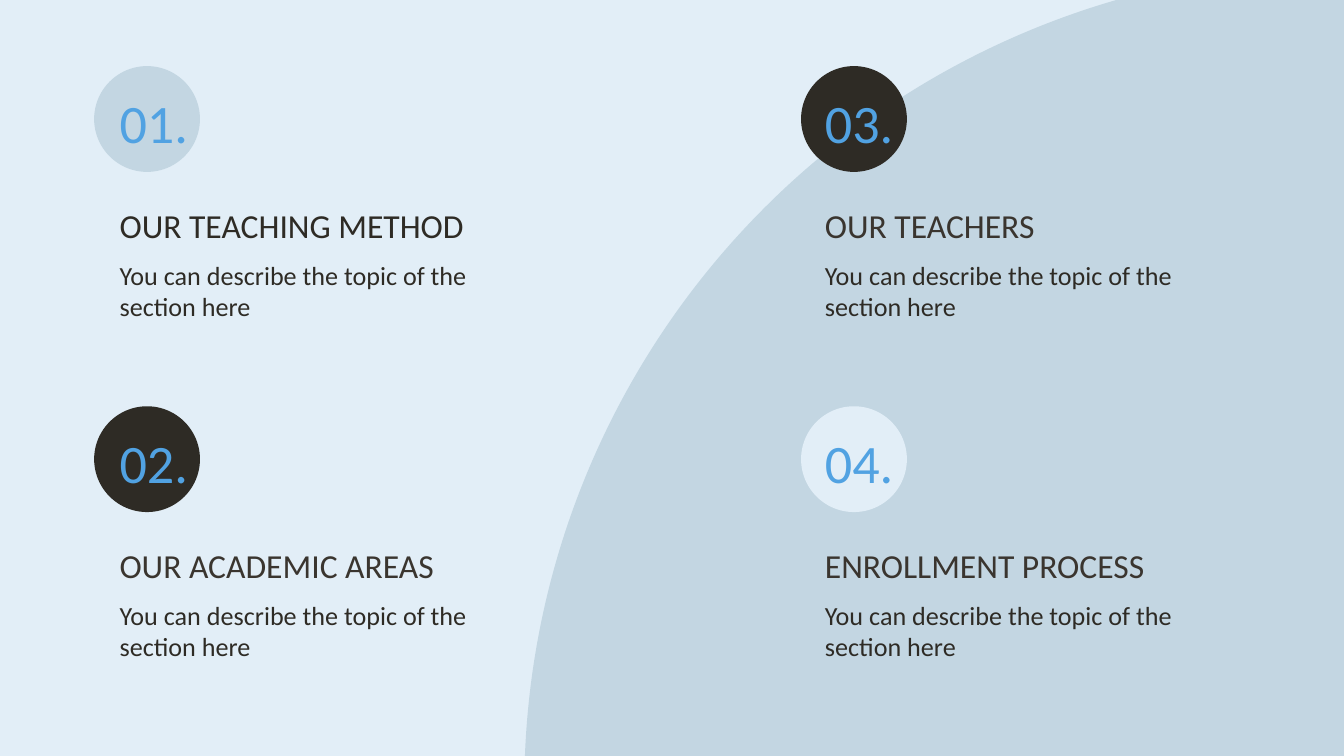
from dataclasses import dataclass

from lxml.etree import SubElement
from pptx import Presentation
from pptx.dml.color import RGBColor
from pptx.enum.shapes import MSO_SHAPE
from pptx.enum.text import MSO_ANCHOR, MSO_AUTO_SIZE, PP_ALIGN
from pptx.oxml.ns import qn
from pptx.shapes.autoshape import Shape
from pptx.slide import Slide
from pptx.util import Cm, Pt


@dataclass(frozen=True)
class Theme:
    font: str = "Calibri"
    pale: str = "E2EEF7"
    mist: str = "C3D6E2"
    dark: str = "2E2B25"
    brown: str = "3A352F"
    blue: str = "51A2E2"
    number_size: int = 29
    heading_size: int = 18
    description_size: int = 14


@dataclass(frozen=True)
class TextStyle:
    top: float
    height: float
    size: int
    anchor: MSO_ANCHOR


@dataclass(frozen=True)
class Section:
    number: str
    heading: str
    column: int
    row: int
    circle_color: str
    heading_color: str


THEME = Theme()
NUMBER = TextStyle(1.5, 1.6, THEME.number_size, MSO_ANCHOR.MIDDLE)
HEADING = TextStyle(2.57, 2.31, THEME.heading_size, MSO_ANCHOR.BOTTOM)
DESCRIPTION = TextStyle(4.65, 1.73, THEME.description_size, MSO_ANCHOR.TOP)
DESCRIPTION_TEXT = "You can describe the topic of the section here"

TEXT_LEFT, TEXT_WIDTH, TEXT_PITCH = 2.01, 8.08, 13.33
CIRCLE_LEFT, CIRCLE_TOP, CIRCLE_SIZE, CIRCLE_PITCH = 1.78, 1.25, 2.0, 13.36
ROW_PITCH = 6.43
COMPARISON_LAYOUT = 4

SECTIONS = [
    Section("01.", "OUR TEACHING METHOD", 0, 0, THEME.mist, THEME.dark),
    Section("02.", "OUR ACADEMIC AREAS", 0, 1, THEME.dark, THEME.brown),
    Section("03.", "OUR TEACHERS", 1, 0, THEME.dark, THEME.brown),
    Section("04.", "ENROLLMENT PROCESS", 1, 1, THEME.pale, THEME.brown),
]


def paint(shape: Shape, color: str) -> None:
    shape.shadow.inherit = False
    shape.fill.solid()
    shape.fill.fore_color.rgb = RGBColor.from_string(color)
    shape.line.fill.background()


def add_backdrop(slide: Slide) -> None:
    """Colour the background and put a quarter disc behind everything else."""
    slide.background.fill.solid()
    slide.background.fill.fore_color.rgb = RGBColor.from_string(THEME.pale)
    quarter = slide.shapes.add_shape(
        MSO_SHAPE.PIE, Cm(9.91), Cm(-0.61), Cm(30.99), Cm(30.99))
    quarter.adjustments[0] = 108
    quarter.adjustments[1] = 162
    paint(quarter, THEME.mist)
    slide.shapes._spTree.insert(2, quarter._element)


def add_circle(slide: Slide, section: Section) -> None:
    circle = slide.shapes.add_shape(
        MSO_SHAPE.OVAL,
        Cm(CIRCLE_LEFT + section.column * CIRCLE_PITCH),
        Cm(CIRCLE_TOP + section.row * ROW_PITCH),
        Cm(CIRCLE_SIZE), Cm(CIRCLE_SIZE))
    paint(circle, section.circle_color)


def write(shape: Shape, text: str, style: TextStyle, color: str,
          section: Section) -> None:
    """Place a text shape in its section's grid cell and format its text."""
    shape.left = Cm(TEXT_LEFT + section.column * TEXT_PITCH)
    shape.top = Cm(style.top + section.row * ROW_PITCH)
    shape.width, shape.height = Cm(TEXT_WIDTH), Cm(style.height)

    frame = shape.text_frame
    frame.text = text
    frame.word_wrap = True
    frame.auto_size = MSO_AUTO_SIZE.NONE
    frame.vertical_anchor = style.anchor
    frame.margin_left = frame.margin_right = Cm(0.25)
    frame.margin_top = frame.margin_bottom = Cm(0.25)

    paragraph = frame.paragraphs[0]
    paragraph.alignment = PP_ALIGN.LEFT
    paragraph.space_before = Pt(0)
    properties = paragraph._p.get_or_add_pPr()
    properties.set("marL", "0")
    properties.set("indent", "0")
    SubElement(properties, qn("a:buNone"))

    font = paragraph.runs[0].font
    font.name, font.size, font.bold = THEME.font, Pt(style.size), False
    font.color.rgb = RGBColor.from_string(color)


def add_text_box(slide: Slide) -> Shape:
    return slide.shapes.add_textbox(0, 0, Cm(TEXT_WIDTH), Cm(1))


def main() -> None:
    presentation = Presentation()
    presentation.slide_width, presentation.slide_height = Cm(25.4), Cm(14.29)
    layout = presentation.slide_layouts[COMPARISON_LAYOUT]
    slide = presentation.slides.add_slide(layout)
    title, *bodies = slide.placeholders

    add_backdrop(slide)
    for section, body in zip(SECTIONS, bodies):
        add_circle(slide, section)
        write(add_text_box(slide), section.number, NUMBER, THEME.blue, section)
        heading = title if section is SECTIONS[0] else add_text_box(slide)
        write(heading, section.heading, HEADING, section.heading_color, section)
        write(body, DESCRIPTION_TEXT, DESCRIPTION, THEME.dark, section)

    presentation.save("out.pptx")


if __name__ == "__main__":
    main()
